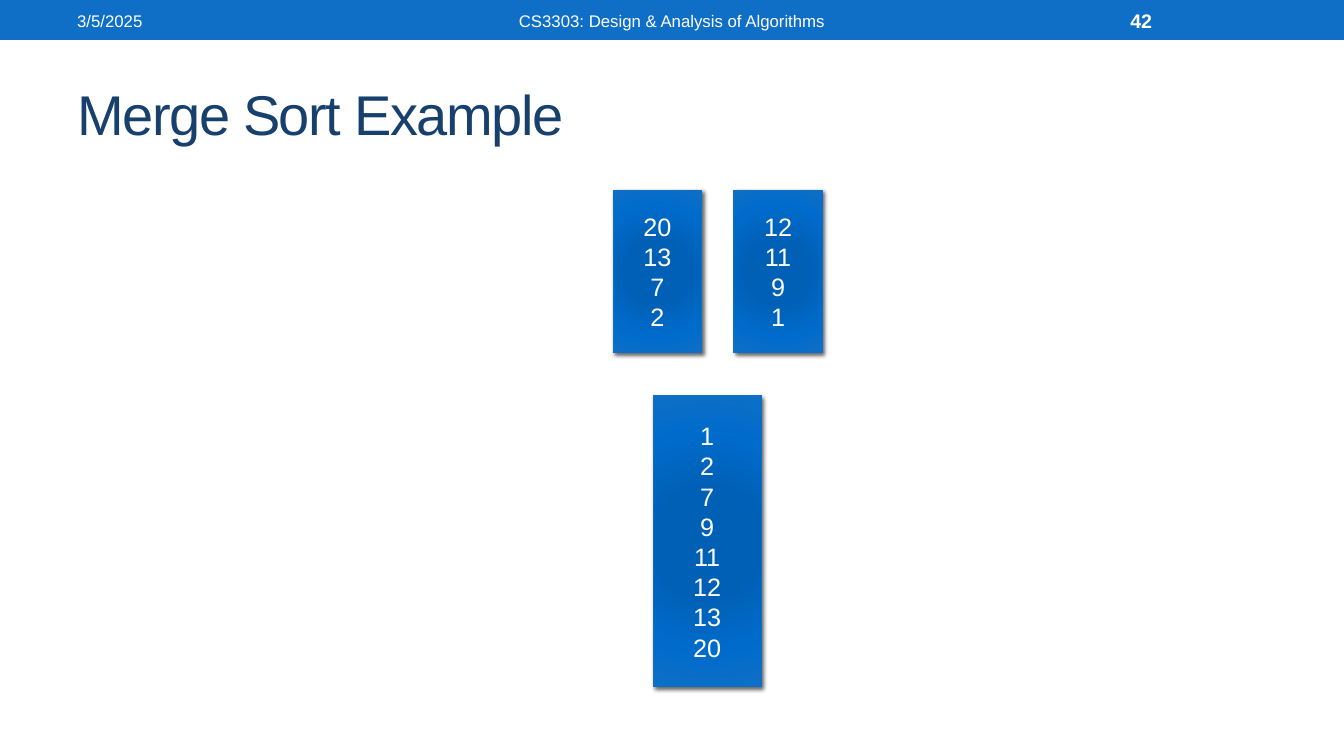
from dataclasses import dataclass

from lxml.etree import SubElement
from pptx import Presentation
from pptx.dml.color import RGBColor
from pptx.enum.shapes import MSO_SHAPE
from pptx.enum.text import MSO_ANCHOR, PP_ALIGN
from pptx.oxml import parse_xml
from pptx.oxml.ns import nsdecls, qn
from pptx.shapes.autoshape import Shape
from pptx.slide import Slide
from pptx.text.text import TextFrame, _Paragraph, _Run
from pptx.util import Pt

EMU_PER_PX = 9525
SLIDE_WIDTH, SLIDE_HEIGHT = 1280, 720
HEADER_HEIGHT = 38
FONT = "Arial"

BLUE = RGBColor(0x0F, 0x6F, 0xC6)
MID_BLUE = RGBColor(0x00, 0x6B, 0xCB)
DARK_BLUE = RGBColor(0x00, 0x60, 0xB6)
NAVY = RGBColor(0x17, 0x40, 0x6D)
WHITE = RGBColor(0xFF, 0xFF, 0xFF)
BLACK = RGBColor(0x00, 0x00, 0x00)
GRADIENT = ((0, DARK_BLUE), (34, DARK_BLUE), (70, MID_BLUE), (100, BLUE))


@dataclass(frozen=True)
class Area:
    left: int
    top: int
    width: int
    height: int

    def emu(self) -> tuple[int, ...]:
        return tuple(px * EMU_PER_PX for px in (self.left, self.top, self.width, self.height))


@dataclass(frozen=True)
class HeaderLabel:
    text: str
    left: int
    width: int
    size: int = 12
    bold: bool = False
    align: PP_ALIGN = PP_ALIGN.LEFT


@dataclass(frozen=True)
class NumberList:
    area: Area
    numbers: tuple[int, ...]


TITLE_AREA = Area(64, 56, 1152, 104)
HEADER_LABELS = (
    HeaderLabel("3/5/2025", 64, 152),
    HeaderLabel("CS3303: Design & Analysis of Algorithms", 224, 832, align=PP_ALIGN.CENTER),
    HeaderLabel("42", 1067, 150, size=14, bold=True),
)
LEFT_HALF = (20, 13, 7, 2)
RIGHT_HALF = (12, 11, 9, 1)
NUMBER_LISTS = (
    NumberList(Area(584, 181, 84, 155), LEFT_HALF),
    NumberList(Area(699, 181, 84, 155), RIGHT_HALF),
    NumberList(Area(622, 377, 103, 277), tuple(sorted(LEFT_HALF + RIGHT_HALF))),
)


def prepare_frame(frame: TextFrame) -> None:
    frame.word_wrap = True
    frame.vertical_anchor = MSO_ANCHOR.MIDDLE


def add_run(paragraph: _Paragraph, text: str, size: int, color: RGBColor, bold: bool = False) -> _Run:
    run = paragraph.add_run()
    run.text = text
    run.font.name = FONT
    run.font.size = Pt(size)
    run.font.bold = bold
    run.font.color.rgb = color
    return run


def add_rectangle(slide: Slide, area: Area) -> Shape:
    rectangle = slide.shapes.add_shape(MSO_SHAPE.RECTANGLE, *area.emu())
    rectangle.shadow.inherit = False
    return rectangle


def add_header_bar(slide: Slide) -> None:
    bar = add_rectangle(slide, Area(0, 0, SLIDE_WIDTH, HEADER_HEIGHT))
    bar.fill.solid()
    bar.fill.fore_color.rgb = BLUE
    bar.line.fill.background()


def add_header_label(slide: Slide, label: HeaderLabel) -> None:
    area = Area(label.left, 2, label.width, 35)
    frame = slide.shapes.add_textbox(*area.emu()).text_frame
    prepare_frame(frame)
    paragraph = frame.paragraphs[0]
    paragraph.alignment = label.align
    add_run(paragraph, label.text, label.size, WHITE, label.bold)


def format_title(slide: Slide) -> None:
    title = slide.shapes.title
    title.left, title.top, title.width, title.height = TITLE_AREA.emu()
    prepare_frame(title.text_frame)
    paragraph = title.text_frame.paragraphs[0]
    paragraph.alignment = PP_ALIGN.LEFT
    run = add_run(paragraph, "Merge Sort Example", 40, NAVY)
    run.font._element.set("spc", "-100")


def apply_radial_gradient(shape: Shape) -> None:
    shape.fill.gradient()
    stops = "".join(
        f'<a:gs pos="{percent * 1000}"><a:srgbClr val="{color}"/></a:gs>'
        for percent, color in GRADIENT
    )
    radial = parse_xml(
        f'<a:gradFill {nsdecls("a")} rotWithShape="1"><a:gsLst>{stops}</a:gsLst>'
        '<a:path path="circle"><a:fillToRect l="100000" t="100000" r="100000" b="100000"/>'
        "</a:path></a:gradFill>"
    )
    properties = shape._element.spPr
    properties.replace(properties.find(qn("a:gradFill")), radial)


def apply_drop_shadow(shape: Shape) -> None:
    effects = shape._element.spPr.find(qn("a:effectLst"))
    shadow = SubElement(
        effects, qn("a:outerShdw"), blurRad=str(Pt(3)), dist=str(Pt(2)),
        dir=str(45 * 60000), algn="tl", rotWithShape="0",
    )
    color = SubElement(shadow, qn("a:srgbClr"), val=str(BLACK))
    SubElement(color, qn("a:alpha"), val="60000")


def add_number_list(slide: Slide, number_list: NumberList) -> None:
    box = add_rectangle(slide, number_list.area)
    apply_radial_gradient(box)
    apply_drop_shadow(box)
    box.line.color.rgb = BLUE
    box.line.width = Pt(0.75)
    frame = box.text_frame
    prepare_frame(frame)
    for index, number in enumerate(number_list.numbers):
        paragraph = frame.add_paragraph() if index else frame.paragraphs[0]
        paragraph.alignment = PP_ALIGN.CENTER
        paragraph.line_spacing = Pt(21.6)
        add_run(paragraph, str(number), 18, WHITE)


def main() -> None:
    presentation = Presentation()
    presentation.slide_width = SLIDE_WIDTH * EMU_PER_PX
    presentation.slide_height = SLIDE_HEIGHT * EMU_PER_PX
    title_only = presentation.slide_layouts.get_by_name("Title Only")
    slide = presentation.slides.add_slide(title_only)
    add_header_bar(slide)
    format_title(slide)
    for label in HEADER_LABELS:
        add_header_label(slide, label)
    for number_list in NUMBER_LISTS:
        add_number_list(slide, number_list)
    presentation.save("out.pptx")


if __name__ == "__main__":
    main()
